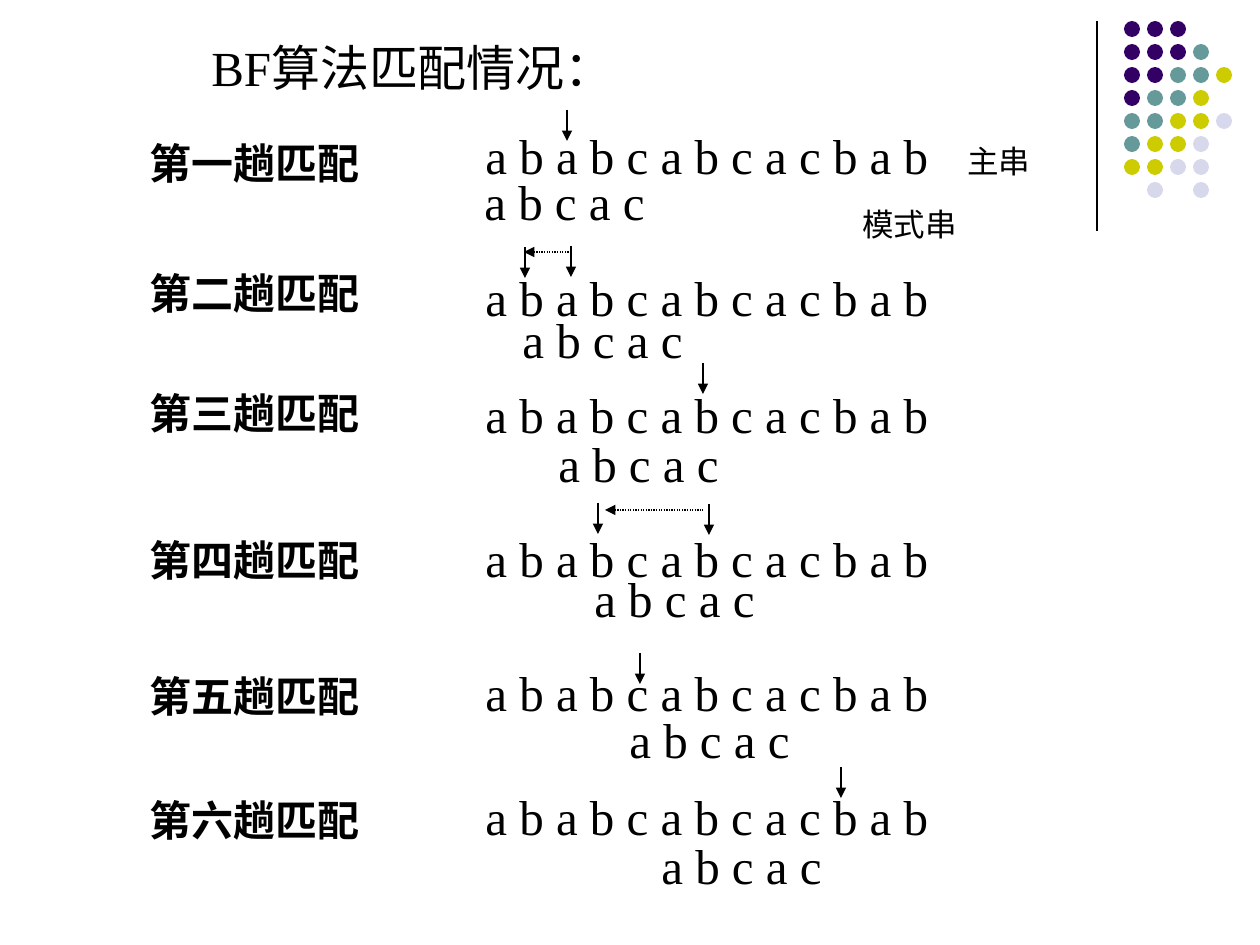
from lxml import etree
from pptx import Presentation
from pptx.dml.color import RGBColor
from pptx.enum.dml import MSO_LINE
from pptx.enum.shapes import MSO_CONNECTOR, MSO_SHAPE
from pptx.enum.text import MSO_ANCHOR, MSO_AUTO_SIZE
from pptx.oxml.ns import qn
from pptx.util import Emu, Pt

STRAIGHT = MSO_CONNECTOR.STRAIGHT
OVAL = MSO_SHAPE.OVAL
DOTTED = MSO_LINE.ROUND_DOT
TOP, MIDDLE = MSO_ANCHOR.TOP, MSO_ANCHOR.MIDDLE
FIT = MSO_AUTO_SIZE.SHAPE_TO_FIT_TEXT
COLORS = {"ink": "000000", "P": "330066", "T": "669999", "Y": "CCCC00", "L": "D8D8EC"}
SERIF, SANS = "Times New Roman", "Cabin"


def px(n):
    return Emu(round(n * 914400 / 126))


def rgb(name):
    return RGBColor.from_string(COLORS[name])


class Canvas:
    def __init__(self, s):
        self.s = s

    def text(self, x, y, w, h, words, size=28, font=SERIF, bold=False, wrap=False, anchor=TOP):
        tf = self.s.shapes.add_textbox(px(x), px(y), px(w), px(h)).text_frame
        tf.word_wrap = wrap
        tf.auto_size = FIT
        tf.vertical_anchor = anchor
        r = tf.paragraphs[0].add_run()
        r.text = words
        r.font.size = Pt(size)
        r.font.name = font
        r.font.bold = bold
        r.font.color.rgb = rgb("ink")

    def dot(self, x, y, size, color):
        sp = self.s.shapes.add_shape(OVAL, px(x), px(y), px(size), px(size))
        sp.shadow.inherit = False
        sp.fill.solid()
        sp.fill.fore_color.rgb = rgb(color)
        sp.line.fill.background()

    def line(self, x1, y1, x2, y2, arrow=None, dash=None):
        c = self.s.shapes.add_connector(STRAIGHT, px(x1), px(y1), px(x2), px(y2))
        etree.SubElement(c._element.spPr, qn("a:effectLst"))
        c.line.color.rgb = rgb("ink")
        c.line.width = Pt(0.75)
        if dash:
            c.line.dash_style = dash
        if arrow:
            etree.SubElement(c.line._get_or_add_ln(), qn(arrow), type="triangle")

    def pointer(self, x, y):
        self.line(x, y, x, y + 31, "a:tailEnd")

    def backtrack(self, x1, x2, y):
        self.line(x1, y, x2, y, "a:headEnd", DOTTED)


DOT_ROWS = ["PPP", "PPPT", "PPTTY", "PTTY", "TTYYL", "TYYL", "YYLL", " L L"]
MAIN, PATTERN = "a b a b c a b c a c b a b", "a b c a c"
PASSES = [
    ("第一趟匹配", 131, 119, (472, 165), (567, 110)),
    ("第二趟匹配", 261, 261, (510, 303), (525, 247)),
    ("第三趟匹配", 381, 378, (546, 427), (703, 363)),
    ("第四趟匹配", 528, 522, (582, 562), (598, 503)),
    ("第五趟匹配", 664, 656, (617, 703), (640, 653)),
    ("第六趟匹配", 788, 780, (649, 829), (841, 767)),
]


def main():
    prs = Presentation()
    prs.slide_width, prs.slide_height = px(1260), px(945)
    canvas = Canvas(prs.slides.add_slide(prs.slide_layouts[6]))

    canvas.line(1097, 21, 1097, 231)
    for row, colors in enumerate(DOT_ROWS):
        for col, color in enumerate(colors):
            if color != " ":
                canvas.dot(1124 + 23 * col, 21 + 23 * row, 16, color)

    canvas.text(199, 31, 466, 72, "BF算法匹配情况：", wrap=True, anchor=MIDDLE)
    for label, label_y, main_y, pattern_at, pointer_at in PASSES:
        canvas.text(137, label_y, 240, 63, label, size=24, bold=True)
        canvas.text(473, main_y, 474, 72, MAIN)
        canvas.text(*pattern_at, 192, 72, PATTERN)
        canvas.pointer(*pointer_at)

    canvas.pointer(571, 246)
    canvas.pointer(709, 504)
    canvas.backtrack(524, 570, 252)
    canvas.backtrack(605, 703, 510)

    canvas.text(955, 136, 158, 50, "主串", size=18, font=SANS, wrap=True)
    canvas.text(850, 199, 210, 50, "模式串", size=18, font=SANS, wrap=True)
    prs.save("out.pptx")


if __name__ == "__main__":
    main()
